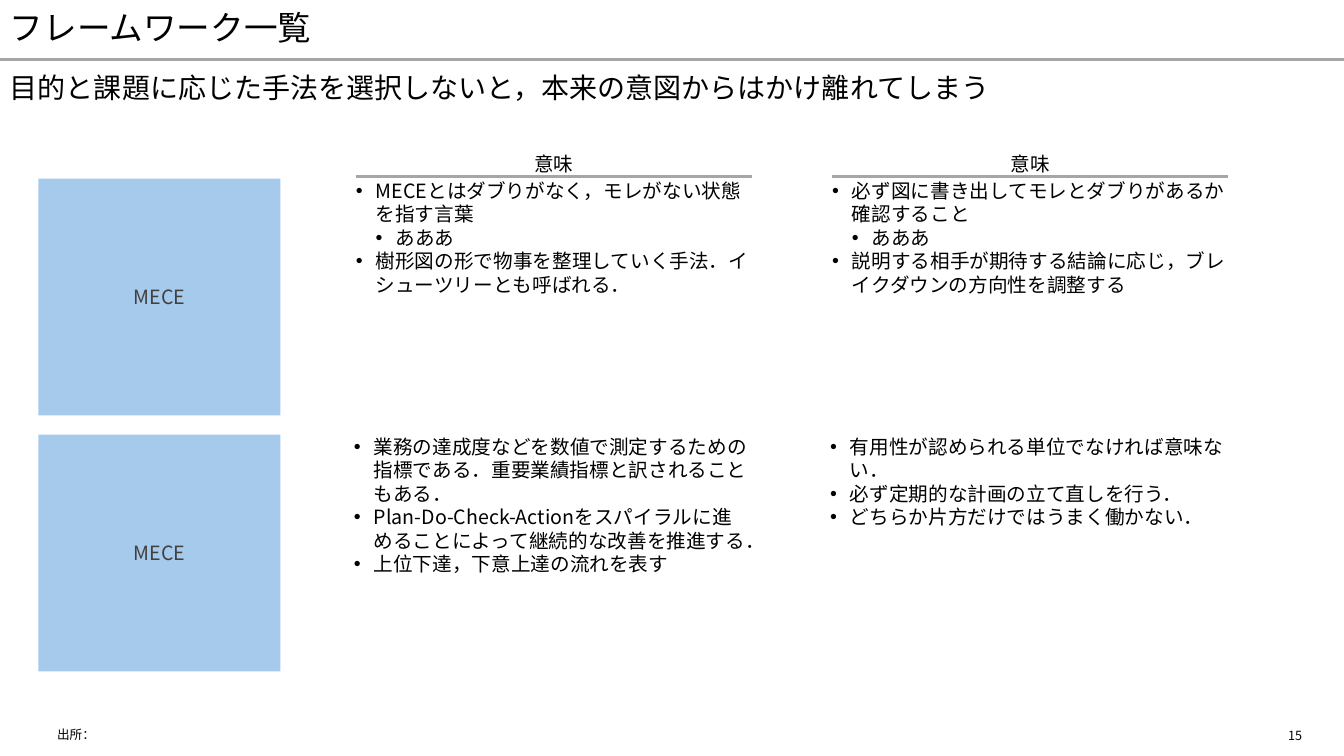
from dataclasses import dataclass

from lxml import etree
from pptx import Presentation
from pptx.dml.color import RGBColor
from pptx.enum.shapes import MSO_CONNECTOR, MSO_SHAPE
from pptx.enum.text import MSO_ANCHOR, PP_ALIGN
from pptx.oxml.ns import qn
from pptx.util import Cm, Pt

TITLE = "フレームワーク一覧"
MESSAGE = "目的と課題に応じた手法を選択しないと，本来の意図からはかけ離れてしまう"
SOURCE = "出所："
PAGE_NUMBER = "15"
HEADINGS = ["意味", "意味"]
# Each row: framework name, then one list of (level, text) per column
ROWS = [
    ("MECE", [
        [(0, "MECEとはダブりがなく，モレがない状態を指す言葉"),
         (1, "あああ"),
         (0, "樹形図の形で物事を整理していく手法．イシューツリーとも呼ばれる．")],
        [(0, "必ず図に書き出してモレとダブりがあるか確認すること"),
         (1, "あああ"),
         (0, "説明する相手が期待する結論に応じ，ブレイクダウンの方向性を調整する")],
    ]),
    ("MECE", [
        [(0, "業務の達成度などを数値で測定するための指標である．重要業績指標と訳されることもある．"),
         (0, "Plan-Do-Check-Actionをスパイラルに進めることによって継続的な改善を推進する．"),
         (0, "上位下達，下意上達の流れを表す")],
        [(0, "有用性が認められる単位でなければ意味ない．"),
         (0, "必ず定期的な計画の立て直しを行う．"),
         (0, "どちらか片方だけではうまく働かない．")],
    ]),
]


@dataclass(frozen=True)
class Theme:
    font: str = "Noto Sans CJK JP"
    text: RGBColor = RGBColor(0x00, 0x00, 0x00)
    box_text: RGBColor = RGBColor(0x40, 0x40, 0x40)
    box: RGBColor = RGBColor(0xA6, 0xCA, 0xEC)
    rule: RGBColor = RGBColor(0xA6, 0xA6, 0xA6)
    title_size: int = 24
    message_size: int = 20
    body_size: int = 14
    note_size: int = 9
    rule_width: float = 2.25


THEME = Theme()
TOP, MIDDLE = MSO_ANCHOR.TOP, MSO_ANCHOR.MIDDLE
CENTER = PP_ALIGN.CENTER
RECTANGLE, STRAIGHT = MSO_SHAPE.RECTANGLE, MSO_CONNECTOR.STRAIGHT

# Lengths in centimetres
SLIDE_WIDTH, SLIDE_HEIGHT = 33.87, 19.05
BAND_HEIGHT = 1.5
BOX_LEFT, BOX_WIDTH, BOX_HEIGHT = 0.97, 6.1, 5.97
ROW_TOP, ROW_PITCH = 4.5, 6.45
COLUMN_LEFT, COLUMN_WIDTH, COLUMN_PITCH = 8.97, 9.98, 12.0
ROW_SHIFT = [0.0, -0.05]
RULE_TOP = 4.45
HEADING_TOP, HEADING_WIDTH, HEADING_HEIGHT = 3.84, 0.99, 0.6
INDENT = 0.5
NOTE_TOP, NOTE_HEIGHT = 18.21, 0.61


def style_run(run, size, color):
    run.font.size = Pt(size)
    run.font.name = THEME.font
    run.font.color.rgb = color
    east_asian = etree.SubElement(run.font._element, qn("a:ea"))
    east_asian.set("typeface", THEME.font)


def remove_insets(frame):
    frame.margin_left = frame.margin_right = 0
    frame.margin_top = frame.margin_bottom = 0


def add_text(slide, text, left, top, width, height, size, anchor=TOP, wrap=True):
    shape = slide.shapes.add_textbox(Cm(left), Cm(top), Cm(width), Cm(height))
    frame = shape.text_frame
    frame.text = text
    frame.word_wrap = wrap
    frame.vertical_anchor = anchor
    for paragraph in frame.paragraphs:
        for run in paragraph.runs:
            style_run(run, size, THEME.text)
    return frame


def add_rule(slide, left, top, width):
    line = slide.shapes.add_connector(
        STRAIGHT, Cm(left), Cm(top), Cm(left + width), Cm(top))
    line.line.color.rgb = THEME.rule
    line.line.width = Pt(THEME.rule_width)
    etree.SubElement(line._element.spPr, qn("a:effectLst"))


def add_box(slide, name, top):
    shape = slide.shapes.add_shape(
        RECTANGLE, Cm(BOX_LEFT), Cm(top), Cm(BOX_WIDTH), Cm(BOX_HEIGHT))
    shape.shadow.inherit = False
    shape.fill.solid()
    shape.fill.fore_color.rgb = THEME.box
    shape.line.fill.background()
    frame = shape.text_frame
    frame.text = name
    frame.vertical_anchor = MIDDLE
    remove_insets(frame)
    paragraph = frame.paragraphs[0]
    paragraph.alignment = CENTER
    style_run(paragraph.runs[0], THEME.body_size, THEME.box_text)


def add_bullets(slide, items, left, top):
    text = "\n".join(item for _, item in items)
    frame = add_text(slide, text, left, top, COLUMN_WIDTH, BOX_HEIGHT, THEME.body_size)
    remove_insets(frame)
    for paragraph, (level, _) in zip(frame.paragraphs, items):
        paragraph.level = level
        properties = paragraph._p.get_or_add_pPr()
        properties.set("marL", str(Cm(INDENT * (level + 1))))
        properties.set("indent", str(-Cm(INDENT)))
        bullet_font = etree.SubElement(properties, qn("a:buFont"))
        bullet_font.set("typeface", "Arial")
        etree.SubElement(properties, qn("a:buChar")).set("char", "•")


def main():
    presentation = Presentation()
    presentation.slide_width = Cm(SLIDE_WIDTH)
    presentation.slide_height = Cm(SLIDE_HEIGHT)
    slide = presentation.slides.add_slide(presentation.slide_layouts[6])

    add_rule(slide, 0, BAND_HEIGHT, SLIDE_WIDTH)
    bands = [(TITLE, THEME.title_size), (MESSAGE, THEME.message_size)]
    for index, (text, size) in enumerate(bands):
        frame = add_text(slide, text, 0, index * BAND_HEIGHT,
                         SLIDE_WIDTH, BAND_HEIGHT, size, MIDDLE)
        frame.paragraphs[0].line_spacing = 0.9

    for column, heading in enumerate(HEADINGS):
        left = COLUMN_LEFT + column * COLUMN_PITCH
        add_rule(slide, left, RULE_TOP, COLUMN_WIDTH)
        frame = add_text(slide, heading, left + (COLUMN_WIDTH - HEADING_WIDTH) / 2,
                         HEADING_TOP, HEADING_WIDTH, HEADING_HEIGHT,
                         THEME.body_size, wrap=False)
        remove_insets(frame)

    for row, (name, cells) in enumerate(ROWS):
        top = ROW_TOP + row * ROW_PITCH
        add_box(slide, name, top)
        for column, items in enumerate(cells):
            left = COLUMN_LEFT + column * COLUMN_PITCH + ROW_SHIFT[row]
            add_bullets(slide, items, left, top)

    add_text(slide, SOURCE, 1.19, NOTE_TOP, 28, NOTE_HEIGHT, THEME.note_size, MIDDLE)
    add_text(slide, PAGE_NUMBER, 32.21, NOTE_TOP, 1.5, NOTE_HEIGHT, THEME.note_size)

    presentation.save("out.pptx")


if __name__ == "__main__":
    main()
